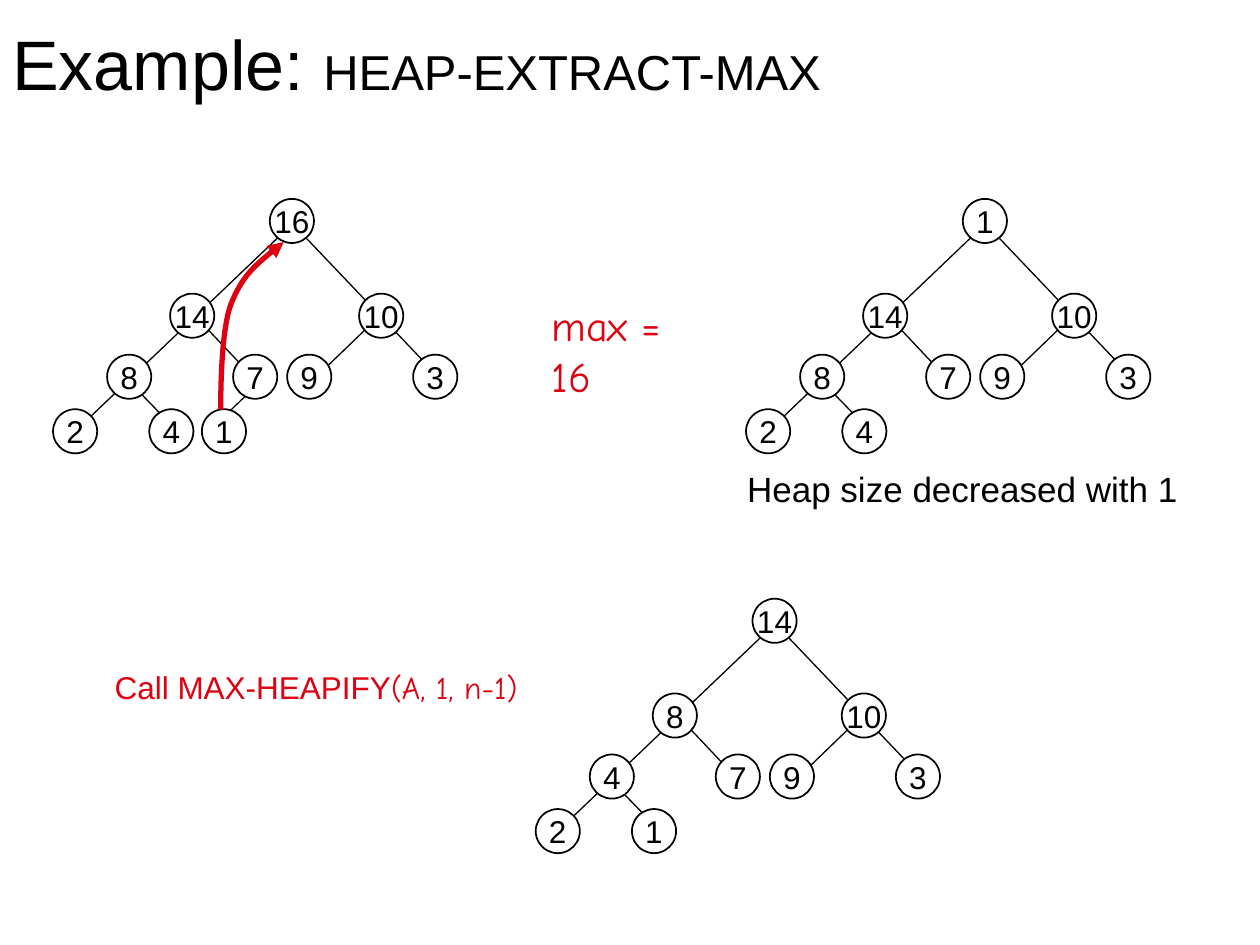
from lxml.etree import SubElement
from pptx import Presentation
from pptx.dml.color import RGBColor
from pptx.enum.shapes import MSO_CONNECTOR as Connector, MSO_SHAPE as Shape
from pptx.enum.text import MSO_ANCHOR as Anchor, MSO_AUTO_SIZE as AutoSize, PP_ALIGN as Align
from pptx.oxml.ns import qn
from pptx.util import Cm, Pt

BLACK, WHITE, RED = "000000", "FFFFFF", "DD0111"
SANS, COMIC = "Arial", "Comic Neue"
NODE_SIZE = 0.89
NODE_SLOTS = [
    (4.37, 0),
    (2.36, 1.91), (6.17, 1.91),
    (1.09, 3.14), (3.63, 3.14), (4.72, 3.14), (7.26, 3.14),
    (0, 4.24), (1.94, 4.24), (3, 4.24),
]
BRANCHES = [
    (5.21, 3.68, 6.63, 2.31),
    (2.62, 4.8, 1.24, 3.38),
    (4.11, 3.68, 2.77, 2.26),
    (7.95, 3.78, 4.57, 0.23),
    (0.46, 4.67, 4.9, 0.43),
]
LAST_LEAF_BRANCH = (3.15, 4.67, 4.29, 3.58)


def color(hex_code):
    """Turn a hex string into a colour."""
    return RGBColor.from_string(hex_code)


def style_line(line, hex_code, width):
    """Give a line its colour and width in points."""
    line.color.rgb = color(hex_code)
    line.width = Pt(width)


def style_run(run, size, hex_code=BLACK, font=SANS):
    """Give a run its font, size and colour."""
    run.font.name = font
    run.font.size = Pt(size)
    run.font.color.rgb = color(hex_code)


def add_label(slide, left, top, width, height, pieces, hex_code=BLACK):
    """Add one line of text made of (text, size, font) pieces."""
    label = slide.shapes.add_textbox(Cm(left), Cm(top), Cm(width), Cm(height))
    frame = label.text_frame
    frame.word_wrap = False
    frame.auto_size = AutoSize.SHAPE_TO_FIT_TEXT
    for text, size, font in pieces:
        run = frame.paragraphs[0].add_run()
        run.text = text
        style_run(run, size, hex_code, font)
    return label


def add_title(slide, pieces):
    """Add the slide title, vertically centred in its band."""
    frame = add_label(slide, 0, 0, 22.86, 2.51, pieces).text_frame
    frame.auto_size = AutoSize.NONE
    frame.word_wrap = True
    frame.vertical_anchor = Anchor.MIDDLE


def add_branch(tree, left, top, ends):
    """Add a straight branch to a tree."""
    x1, y1, x2, y2 = ends
    branch = tree.shapes.add_connector(
        Connector.STRAIGHT, Cm(left + x1), Cm(top + y1), Cm(left + x2), Cm(top + y2))
    style_line(branch.line, BLACK, 0.75)
    SubElement(branch._element.spPr, qn("a:effectLst"))


def add_node(tree, left, top, key):
    """Add a round node holding its key."""
    node = tree.shapes.add_shape(
        Shape.OVAL, Cm(left), Cm(top), Cm(NODE_SIZE), Cm(NODE_SIZE))
    node.shadow.inherit = False
    node.fill.solid()
    node.fill.fore_color.rgb = color(WHITE)
    style_line(node.line, BLACK, 1)
    frame = node.text_frame
    frame.word_wrap = False
    frame.vertical_anchor = Anchor.MIDDLE
    frame.text = str(key)
    frame.paragraphs[0].alignment = Align.CENTER
    style_run(frame.paragraphs[0].runs[0], 18)


def add_heap(slide, left, top, keys):
    """Add a heap as a grouped tree, with keys in array order."""
    tree = slide.shapes.add_group_shape()
    branches = list(BRANCHES)
    if len(keys) == len(NODE_SLOTS):
        branches.append(LAST_LEAF_BRANCH)
    for ends in branches:
        add_branch(tree, left, top, ends)
    for (x, y), key in zip(NODE_SLOTS, keys):
        add_node(tree, left + x, top + y, key)


def add_curved_arrow(slide, start, curve_points):
    """Add a Bezier curve with an arrowhead at its start."""
    builder = slide.shapes.build_freeform(Cm(start[0]), Cm(start[1]))
    builder.add_line_segments([(Cm(x), Cm(y)) for x, y in curve_points], close=False)
    arrow = builder.convert_to_shape()
    arrow.shadow.inherit = False
    arrow.fill.background()
    style_line(arrow.line, RED, 3)
    SubElement(arrow.line._get_or_add_ln(), qn("a:headEnd"), type="triangle")
    outline = arrow._element.spPr.find(".//" + qn("a:path"))
    segments = outline.findall(qn("a:lnTo"))
    for first in range(0, len(segments), 3):
        curve = SubElement(outline, qn("a:cubicBezTo"))
        for segment in segments[first:first + 3]:
            curve.append(segment[0])
            outline.remove(segment)


def main():
    """Build the slide and save it."""
    deck = Presentation()
    deck.slide_width, deck.slide_height = Cm(25.4), Cm(19.05)
    slide = deck.slides.add_slide(deck.slide_layouts[6])

    add_title(slide, [("Example: ", 40, SANS), ("HEAP-EXTRACT-MAX", 28, SANS)])
    add_heap(slide, 1.07, 4.01, [16, 14, 10, 8, 7, 9, 3, 2, 4, 1])
    add_label(slide, 10.87, 5.92, 3.78, 1.27, [("max = 16", 24, COMIC)], RED)
    add_heap(slide, 15.04, 4.01, [1, 14, 10, 8, 7, 9, 3, 2, 4])
    add_curved_arrow(slide, (5.72, 4.88), [
        (5.28, 5.23), (4.88, 5.56), (4.65, 6.15),
        (4.45, 6.71), (4.45, 8), (4.45, 8.26)])
    add_label(slide, 14.81, 9.3, 9.19, 1.12, [("Heap size decreased with 1", 20, SANS)])
    add_heap(slide, 10.8, 12.07, [14, 8, 10, 4, 7, 9, 3, 2, 1])
    add_label(slide, 2.06, 13.34, 8.64, 1.02, [
        ("Call MAX-HEAPIFY", 18, SANS), ("(A, 1, n-1)", 18, COMIC)], RED)

    deck.save("out.pptx")


if __name__ == "__main__":
    main()
